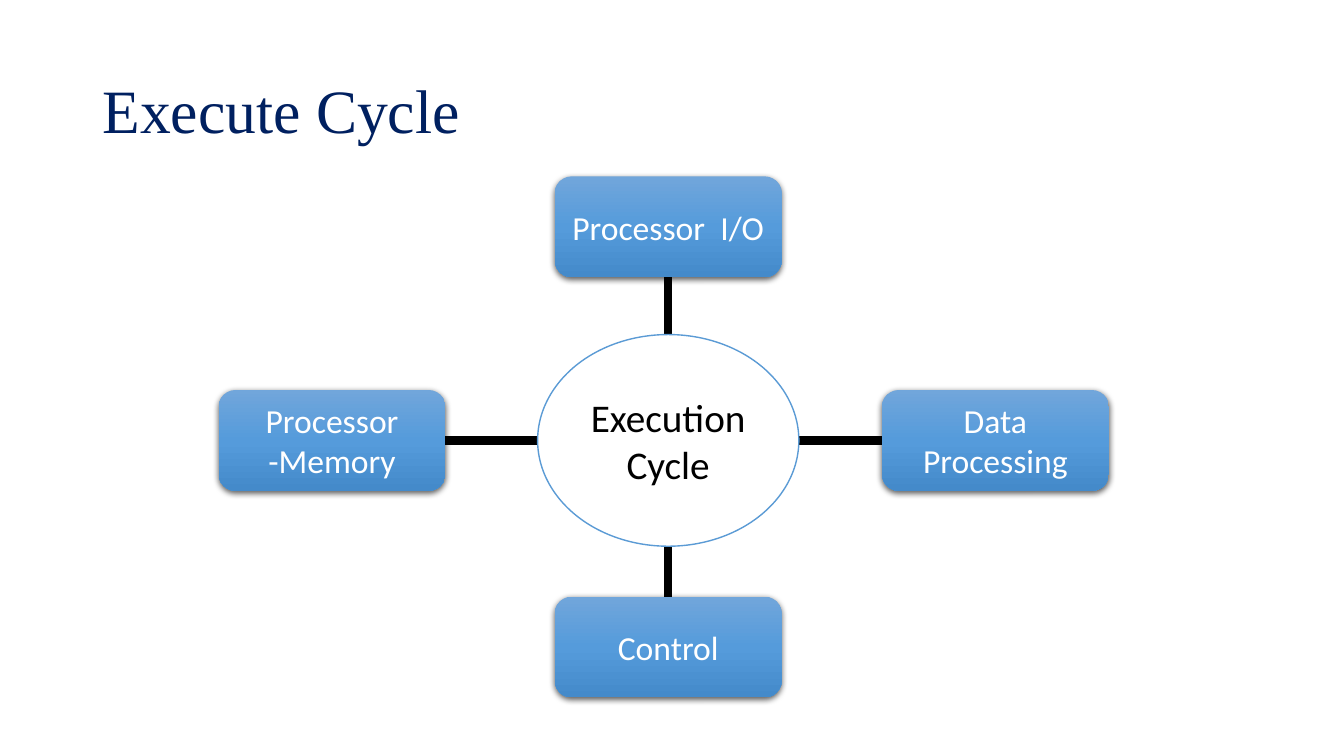
from copy import deepcopy
from pptx import Presentation
from pptx.dml.color import RGBColor
from pptx.enum.shapes import MSO_CONNECTOR, MSO_SHAPE
from pptx.enum.text import MSO_ANCHOR, PP_ALIGN
from pptx.oxml import parse_xml
from pptx.oxml.ns import nsdecls, qn
from pptx.util import Pt

TITLE = "Execute Cycle"
HUB_TEXT = "Execution Cycle"
STEPS = [
    ("Processor -Memory", "left"),
    ("Processor  I/O", "top"),
    ("Data Processing", "right"),
    ("Control", "bottom"),
]
COLORS = {
    "title": "002060", "white": "FFFFFF", "black": "000000", "outline": "5B9BD5",
    "light": "71A6DB", "middle": "559BDB", "dark": "448ACA",
}
CENTER_X, CENTER_Y = 477.3, 314.6
HUB_WIDTH, HUB_HEIGHT = 186.6, 151.2
BOX_WIDTH, BOX_HEIGHT = 162, 72
SIDES = {
    "left": (237.2, CENTER_Y, 3, CENTER_X - HUB_WIDTH / 2, CENTER_Y),
    "top": (CENTER_X, 162, 2, CENTER_X, CENTER_Y - HUB_HEIGHT / 2),
    "right": (711, CENTER_Y, 1, CENTER_X + HUB_WIDTH / 2, CENTER_Y),
    "bottom": (CENTER_X, 462.2, 0, CENTER_X, CENTER_Y + HUB_HEIGHT / 2),
}


def color(name):
    return RGBColor.from_string(COLORS[name])


def write(frame, text, size, font, ink, align):
    frame.word_wrap = True
    frame.vertical_anchor = MSO_ANCHOR.MIDDLE
    para = frame.paragraphs[0]
    para.alignment = align
    span = para.add_run()
    span.text = text
    span.font.size = Pt(size)
    span.font.name = font
    span.font.color.rgb = color(ink)
    return para


def add_centered(page, kind, center_x, center_y, width, height):
    return page.shapes.add_shape(kind, Pt(center_x - width / 2), Pt(center_y - height / 2),
                                 Pt(width), Pt(height))


def shade(box):
    box.fill.gradient()
    box.fill.gradient_angle = 270
    first = box.element.spPr.find(".//" + qn("a:gs"))
    first.addnext(deepcopy(first))
    for stop, name, position in zip(box.fill.gradient_stops, ("light", "middle", "dark"), (0, 0.5, 1)):
        stop.color.rgb = color(name)
        stop.position = position
    box.line.fill.background()
    box.element.spPr.append(parse_xml(
        f'<a:effectLst {nsdecls("a")}><a:outerShdw blurRad="{Pt(4.5)}" dist="{Pt(1.5)}" '
        f'dir="5400000" algn="ctr" rotWithShape="0"><a:srgbClr val="{COLORS["black"]}">'
        '<a:alpha val="63000"/></a:srgbClr></a:outerShdw></a:effectLst>'))


def add_step(page, text, side):
    center_x, center_y, site, hub_x, hub_y = SIDES[side]
    box = add_centered(page, MSO_SHAPE.ROUNDED_RECTANGLE, center_x, center_y, BOX_WIDTH, BOX_HEIGHT)
    shade(box)
    write(box.text_frame, text, 24, "Calibri", "white", PP_ALIGN.CENTER)
    link = page.shapes.add_connector(MSO_CONNECTOR.STRAIGHT, Pt(center_x), Pt(center_y), Pt(hub_x), Pt(hub_y))
    link.begin_connect(box, site)
    link.line.width = Pt(6)
    link.line.color.rgb = color("black")
    link.element.spPr.append(parse_xml(f'<a:effectLst {nsdecls("a")}/>'))


def main():
    deck = Presentation()
    deck.slide_width, deck.slide_height = Pt(960), Pt(540)
    page = deck.slides.add_slide(deck.slide_layouts[5])

    title = page.shapes.title
    title.left, title.top, title.width, title.height = Pt(66), Pt(28.8), Pt(828), Pt(104.4)
    para = write(title.text_frame, TITLE, 44, "Times New Roman", "title", PP_ALIGN.LEFT)
    para.line_spacing = 0.9

    for text, side in STEPS:
        add_step(page, text, side)

    hub = add_centered(page, MSO_SHAPE.OVAL, CENTER_X, CENTER_Y, HUB_WIDTH, HUB_HEIGHT)
    hub.shadow.inherit = False
    hub.fill.solid()
    hub.fill.fore_color.rgb = color("white")
    hub.line.color.rgb = color("outline")
    hub.line.width = Pt(1)
    write(hub.text_frame, HUB_TEXT, 28, "Calibri", "black", PP_ALIGN.CENTER)

    deck.save("out.pptx")


if __name__ == "__main__":
    main()
